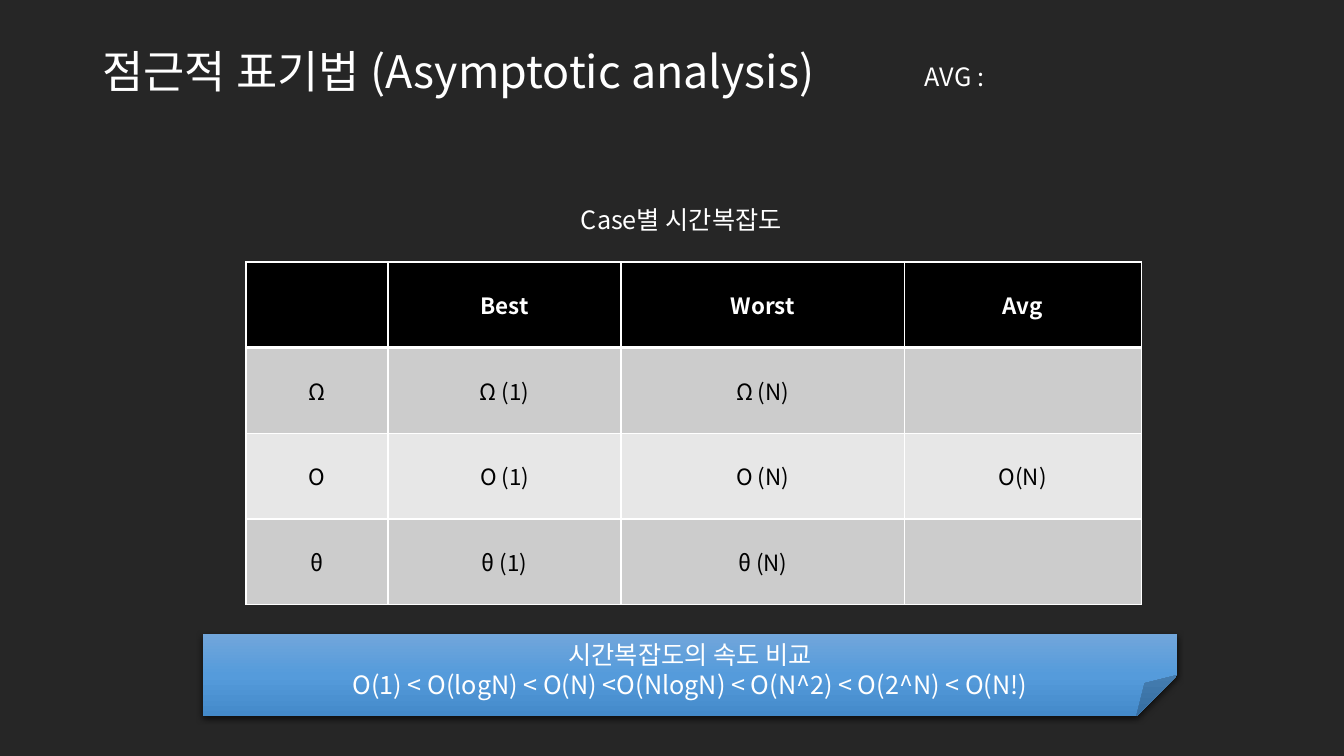
import pptx
import pptx.util
import pptx.oxml
import pptx.dml.color
import pptx.enum.shapes
import pptx.enum.text
import pptx.oxml.ns

Cm = pptx.util.Cm
Pt = pptx.util.Pt
ALIGN = pptx.enum.text.PP_ALIGN
ANCHOR = pptx.enum.text.MSO_ANCHOR
FONT = "Noto Sans CJK KR"
COLORS = {
    "background": "262626",
    "white": "FFFFFF",
    "black": "000000",
    "odd row": "CCCCCC",
    "even row": "E7E7E7",
    "banner top": "71A6DB",
    "banner middle": "559BDB",
    "banner bottom": "448ACA",
}
NAMESPACE = pptx.oxml.ns.nsdecls("a")


def color(name):
    return pptx.dml.color.RGBColor.from_string(COLORS[name])


def format_text(frame, size, color_name="white", align=ALIGN.LEFT, bold=False):
    for para in frame.paragraphs:
        para.alignment = align
        for span in para.runs:
            span.font.size = Pt(size)
            span.font.bold = bold
            span.font.name = FONT
            span.font.color.rgb = color(color_name)
            east_asian = pptx.oxml.parse_xml(f'<a:ea {NAMESPACE} typeface="{FONT}"/>')
            span.font._element.append(east_asian)


deck = pptx.Presentation()
deck.slide_width = Cm(33.87)
deck.slide_height = Cm(19.05)
page = deck.slides.add_slide(deck.slide_layouts[5])
page.background.fill.solid()
page.background.fill.fore_color.rgb = color("background")

# Title
title = page.shapes.title
title.left, title.top, title.width, title.height = Cm(2.33), Cm(1.02), Cm(29.21), Cm(1.67)
title.text_frame.text = "점근적 표기법 (Asymptotic analysis)"
title.text_frame.auto_size = pptx.enum.text.MSO_AUTO_SIZE.NONE
title.text_frame.vertical_anchor = ANCHOR.MIDDLE
title.text_frame.paragraphs[0].line_spacing = 0.9
format_text(title.text_frame, 32)

# Table caption and average label
for text, left, top, width, align in [
    ("Case별 시간복잡도", 12.98, 5.03, 8.38, ALIGN.CENTER),
    ("AVG :", 23.06, 1.42, 8.08, ALIGN.LEFT),
]:
    box = page.shapes.add_textbox(Cm(left), Cm(top), Cm(width), Cm(1.02))
    box.text_frame.word_wrap = True
    box.text_frame.text = text
    format_text(box.text_frame, 18, align=align)

# Complexity table
rows = [
    ["", "Best", "Worst", "Avg"],
    ["Ω", "Ω (1)", "Ω (N)", ""],
    ["O", "O (1)", "O (N)", "O(N)"],
    ["θ", "θ (1)", "θ (N)", ""],
]
column_widths = [3.58, 5.87, 7.14, 5.97]
table = page.shapes.add_table(
    len(rows), len(column_widths), Cm(6.2), Cm(6.6), Cm(22.56), Cm(8.64)
).table
for column, width in zip(table.columns, column_widths):
    column.width = Cm(width)
for row_index, row in enumerate(rows):
    table.rows[row_index].height = Cm(2.16)
    header = row_index == 0
    fill_name = "black" if header else "odd row" if row_index % 2 else "even row"
    for column_index, text in enumerate(row):
        cell = table.cell(row_index, column_index)
        cell.text_frame.text = text
        cell.vertical_anchor = ANCHOR.MIDDLE
        format_text(cell.text_frame, 16, "white" if header else "black", ALIGN.CENTER, header)
        cell.fill.solid()
        cell.fill.fore_color.rgb = color(fill_name)
        # White borders, thick between header and body
        borders = {"L": 1, "R": 1, "T": 3 if row_index == 1 else 1, "B": 3 if header else 1}
        for position, (side, points) in enumerate(borders.items()):
            border = pptx.oxml.parse_xml(
                f'<a:ln{side} {NAMESPACE} w="{Pt(points)}"><a:solidFill>'
                f'<a:srgbClr val="{COLORS["white"]}"/></a:solidFill></a:ln{side}>'
            )
            cell._tc.get_or_add_tcPr().insert(position, border)

# Speed comparison banner
banner = page.shapes.add_shape(
    pptx.enum.shapes.MSO_SHAPE.FOLDED_CORNER, Cm(5.11), Cm(15.98), Cm(24.56), Cm(2.06)
)
banner.line.fill.background()
banner.shadow.inherit = False
stops = "".join(
    f'<a:gs pos="{place * 1000}"><a:srgbClr val="{COLORS[name]}"/></a:gs>'
    for place, name in [(0, "banner top"), (50, "banner middle"), (100, "banner bottom")]
)
properties = banner._element.spPr
geometry = properties.find(pptx.oxml.ns.qn("a:prstGeom"))
geometry.find(pptx.oxml.ns.qn("a:avLst")).append(pptx.oxml.parse_xml(
    f'<a:gd {NAMESPACE} name="adj" fmla="val 50000"/>'
))
geometry.addnext(pptx.oxml.parse_xml(
    f'<a:gradFill {NAMESPACE} rotWithShape="1"><a:gsLst>{stops}</a:gsLst>'
    '<a:lin ang="5400000" scaled="0"/></a:gradFill>'
))
properties.find(pptx.oxml.ns.qn("a:effectLst")).append(pptx.oxml.parse_xml(
    f'<a:outerShdw {NAMESPACE} blurRad="{Pt(4.5)}" dist="{Pt(1.5)}" dir="5400000" '
    f'algn="ctr" rotWithShape="0"><a:srgbClr val="{COLORS["black"]}">'
    '<a:alpha val="63000"/></a:srgbClr></a:outerShdw>'
))
banner.text_frame.text = (
    "시간복잡도의 속도 비교\n"
    "O(1) < O(logN) < O(N) <O(NlogN) < O(N^2) < O(2^N) < O(N!)"
)
banner.text_frame.word_wrap = True
banner.text_frame.vertical_anchor = ANCHOR.TOP
format_text(banner.text_frame, 18, align=ALIGN.CENTER)

deck.save("out.pptx")
